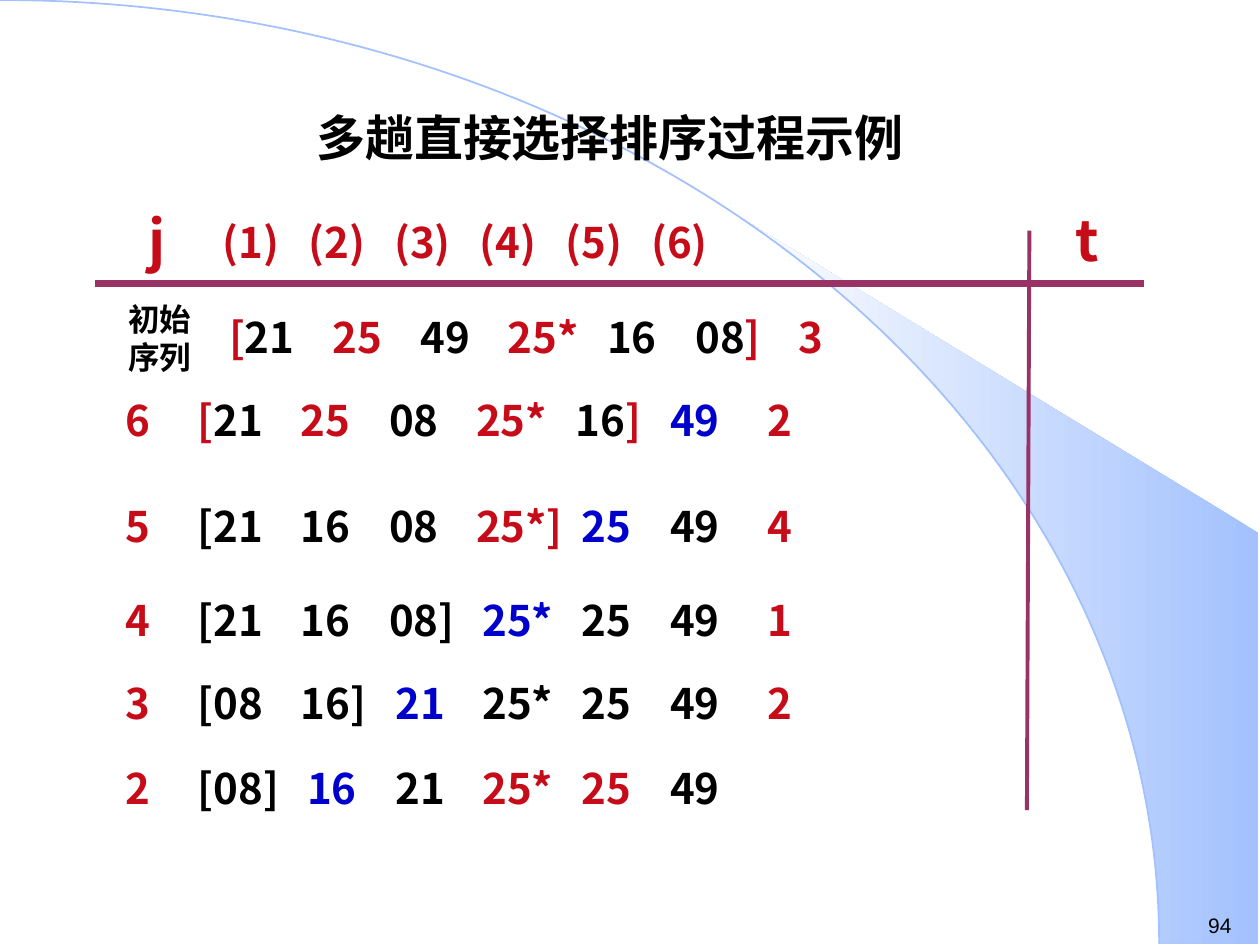
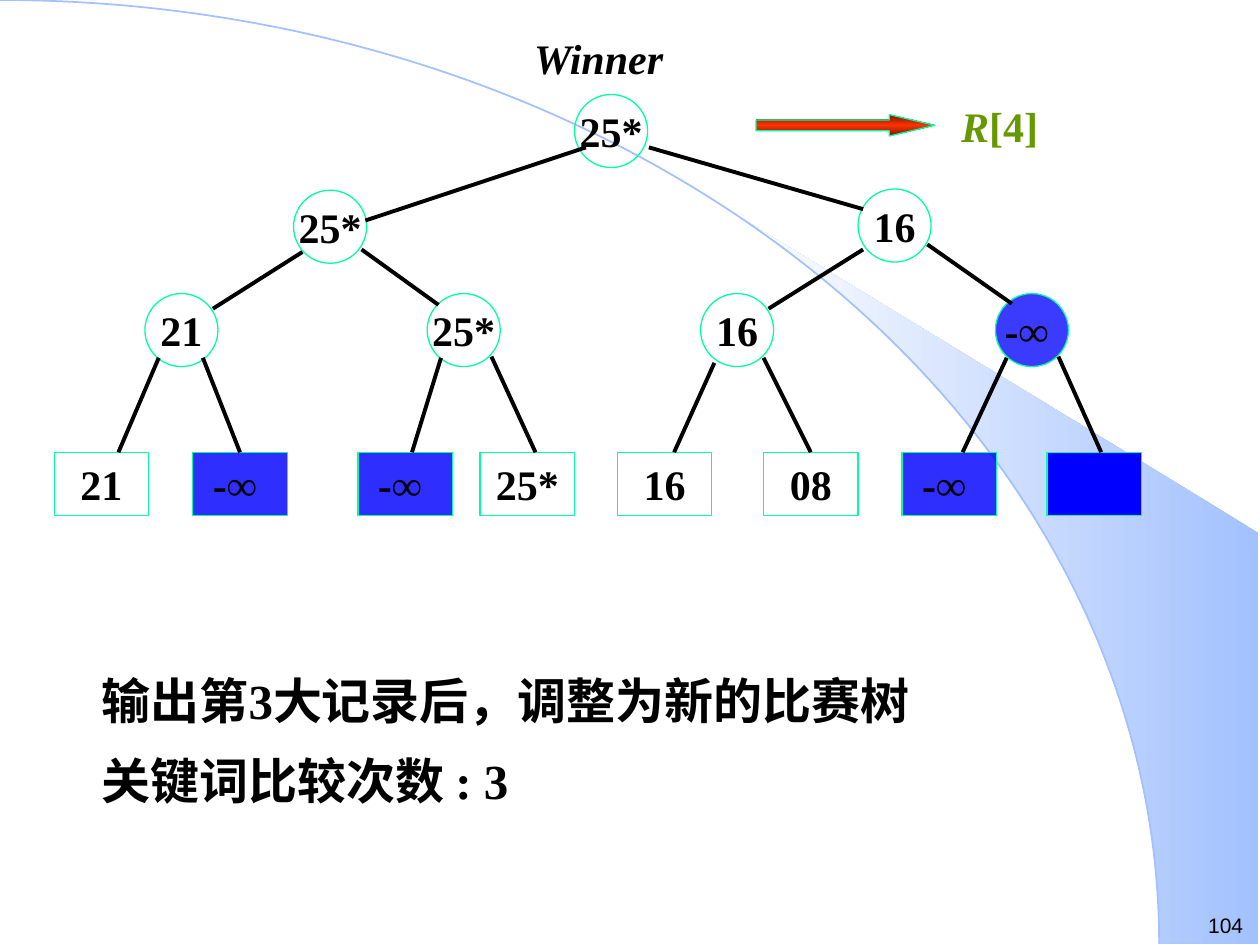
from dataclasses import dataclass
from math import asin, cos, pi, sin

from lxml import etree
from pptx import Presentation
from pptx.dml.color import RGBColor
from pptx.enum import shapes, text
from pptx.oxml.ns import qn
from pptx.util import Inches, Pt

HUES = {
    "black": "000000", "red": "C60C19", "blue": "0000CC", "plum": "993366",
    "sky": "A2C1FE", "pale": "FEFEFE", "mint": "00FF9F", "fill": "0000FF",
    "green": "669900", "rust": "751700", "flame": "FF3300",
}
CODES = {"k": "black", "r": "red", "b": "blue"}
SERIF, SANS = "Times New Roman", "Noto Sans CJK SC"
KIND = shapes.MSO_SHAPE
ALIGN = text.PP_ALIGN
CURVE_W, CURVE_H = 9.2, 7.49


@dataclass
class Run:
    text: str
    hue: str = "black"
    italic: bool = False


@dataclass
class Row:
    """One pass: cells split by spaces, runs by bars, each led by a colour code."""
    top: float
    cells: str
    label: str = ""
    shift: float = 0


@dataclass
class Node:
    text: str
    left: float
    top: float
    alpha: int = 0


@dataclass
class Edge:
    x1: float
    y1: float
    x2: float
    y2: float
    leaf: int = -1


def rgb(hue: str) -> RGBColor:
    return RGBColor.from_string(HUES[hue])


def write(frame, lines, *, size=24, font=SERIF, hue="black", bold=True,
          italic=False, align=ALIGN.LEFT, space=None, tabs=(), wrap=True):
    """Fill a text frame; each line is a string or a list of runs."""
    frame.word_wrap = wrap
    for n, line in enumerate(lines):
        para = frame.paragraphs[0] if n == 0 else frame.add_paragraph()
        para.alignment = align
        para.space_before = Pt(0)
        if space:
            para.line_spacing = space
        if tabs:
            stops = etree.SubElement(para._p.get_or_add_pPr(), qn("a:tabLst"))
            for tab in tabs:
                etree.SubElement(stops, qn("a:tab"), pos=str(Inches(tab)), algn="l")
        for part in [Run(line, hue, italic)] if isinstance(line, str) else line:
            run = para.add_run()
            run.text = part.text
            run.font.size, run.font.name = Pt(size), font
            run.font.bold, run.font.italic = bold, part.italic
            run.font.color.rgb = rgb(part.hue)
            latin = run.font._element.find(qn("a:latin"))
            latin.addnext(etree.Element(qn("a:ea"), typeface=SANS))


def put(slide, lines, left, top, width, height, **form):
    box = slide.shapes.add_textbox(*map(Inches, (left, top, width, height)))
    write(box.text_frame, lines, **form)


def shade(shape, angle: int, *hues: str) -> None:
    """Give a shape a linear gradient with evenly spaced stops."""
    shape.fill.gradient()
    shape.fill.gradient_angle = angle
    stops = shape.element.spPr.find(qn("a:gradFill")).find(qn("a:gsLst"))
    for old in list(stops):
        stops.remove(old)
    for n, hue in enumerate(hues):
        pos = str(100000 * n // (len(hues) - 1))
        stop = etree.SubElement(stops, qn("a:gs"), pos=pos)
        etree.SubElement(stop, qn("a:srgbClr"), val=HUES[hue])


def form(slide, kind, left, top, width, height, hue="mint", line=0.75):
    shape = slide.shapes.add_shape(kind, *map(Inches, (left, top, width, height)))
    shape.shadow.inherit = False
    shape.fill.background()
    shape.line.color.rgb = rgb(hue)
    shape.line.width = Pt(line)
    return shape


def link(slide, x1, y1, x2, y2, hue="black", width=2.25):
    line = slide.shapes.add_connector(
        shapes.MSO_CONNECTOR.STRAIGHT, *map(Inches, (x1, y1, x2, y2)))
    line.line.color.rgb = rgb(hue)
    line.line.width = Pt(width)
    etree.SubElement(line.element.spPr, qn("a:effectLst"))
    return line


def backdrop(slide, page: int) -> None:
    start = asin(5.89 / CURVE_W)
    turns = [start + (pi / 2 - start) * n / 24 for n in range(25)]
    rim = [(CURVE_W * sin(t), CURVE_H * (1 - cos(t))) for t in turns]
    rim += [(9.99, CURVE_H), (9.99, 4.23)]
    points = [(Inches(x), Inches(y)) for x, y in rim]
    build = slide.shapes.build_freeform(*points[0])
    build.add_line_segments(points[1:])
    wedge = build.convert_to_shape()
    wedge.shadow.inherit = False
    wedge.line.fill.background()
    shade(wedge, 180, "sky", "pale")
    form(slide, KIND.ARC, -CURVE_W, 0, 2 * CURVE_W, 2 * CURVE_H, "sky", 1)
    put(slide, [str(page)], 9.49, 7.19, 0.51, 0.3, size=12, font="Arial", bold=False)


COLS = [1.57, 2.39, 3.09, 3.78, 4.57, 5.27, 6.04]
LABEL_X, SORTED_GAP, INSET = 1.0, 0.05, 0.1
ROWS = [
    Row(2.42, "r[|k21 r25 k49 r25* k16 k08|r] r3", shift=0.25),
    Row(3.08, "r[|k21 r25 k08 r25* k16|r] b49 r2", "6"),
    Row(3.92, "k[21 k16 k08 r25*] b25 k49 r4", "5"),
    Row(4.67, "k[21 k16 k08] b25* k25 k49 r1", "4"),
    Row(5.33, "k[08 k16] b21 k25* k25 k49 r2", "3"),
    Row(6, "k[08] b16 k21 r25* r25 k49", "2"),
]


def draw_row(slide, row: Row) -> None:
    cells = row.cells.split()
    close = next(n for n, cell in enumerate(cells) if cell.endswith("]"))
    spots = [COLS[n] + row.shift + SORTED_GAP * (n > close) for n in range(len(cells))]
    if row.label:
        cells.insert(0, "r" + row.label)
        spots.insert(0, LABEL_X)
    runs = []
    for n, cell in enumerate(cells):
        for m, part in enumerate(cell.split("|")):
            lead = "\t" if n and not m else ""
            runs.append(Run(lead + part[1:], CODES[part[0]]))
    put(slide, [runs], spots[0] - INSET, row.top, 7, 0.5, font=SANS,
        tabs=[x - spots[0] for x in spots[1:]])


def sort_slide(deck) -> None:
    slide = deck.slides.add_slide(deck.slide_layouts[5])
    backdrop(slide, 94)
    title = slide.shapes.title
    slide.shapes.element.append(title.element)
    title.left, title.top, title.width, title.height = map(Inches, (0.51, 0.76, 8.66, 0.84))
    title.text_frame.vertical_anchor = text.MSO_ANCHOR.TOP
    title.text_frame.auto_size = text.MSO_AUTO_SIZE.NONE
    write(title.text_frame, ["多趟直接选择排序过程示例"], size=28,
          align=ALIGN.CENTER, space=1.1)
    put(slide, ["\t".join(f"({n})" for n in range(1, 7))], 1.67, 1.67, 6.5, 0.5,
        font=SANS, hue="red", tabs=[0.68 * n for n in range(1, 6)])
    for name, left in (("j", 1.08), ("t", 8.44)):
        put(slide, [name], left, 1.58, 0.5, 0.64, size=32, font=SANS, hue="red")
    link(slide, 0.75, 2.25, 9.08, 2.25, "plum", 4.5)
    link(slide, 8.17, 1.83, 8.15, 6.43, "plum")
    put(slide, ["初始序列"], 0.92, 2.33, 0.83, 0.7, size=18, font=SANS)
    for row in ROWS:
        draw_row(slide, row)


BALL, LEAF_W, LEAF_H, LEAF_Y = 0.58, 0.75, 0.5, 3.59
BALLS = [
    Node("25*", 4.56, 0.75), Node("25*", 2.33, 1.51), Node("16", 6.81, 1.5),
    Node("21", 1.15, 2.33), Node("25*", 3.39, 2.33), Node("16", 5.56, 2.33),
    Node("-∞ ", 7.9, 2.33, 77),
]
LEAVES = [
    Node("21", 0.43, LEAF_Y), Node("-∞ ", 1.53, LEAF_Y, 82),
    Node("-∞ ", 2.84, LEAF_Y, 82), Node("25*", 3.81, LEAF_Y),
    Node("16", 4.9, LEAF_Y), Node("08", 6.06, LEAF_Y),
    Node("-∞ ", 7.16, LEAF_Y, 82), Node("", 8.31, LEAF_Y, 100),
]
EDGES = [
    Edge(5.15, 1.17, 6.85, 1.66), Edge(4.65, 1.17, 2.9, 1.75),
    Edge(6.85, 1.98, 6.1, 2.45), Edge(2.87, 1.98, 3.48, 2.42),
    Edge(7.36, 1.94, 8.03, 2.41), Edge(2.4, 2, 1.69, 2.45),
    Edge(1.26, 2.84, 0.94, LEAF_Y), Edge(1.61, 2.84, 1.93, LEAF_Y, 1),
    Edge(3.5, 2.84, 3.27, LEAF_Y), Edge(3.9, 2.83, 4.25, LEAF_Y),
    Edge(5.67, 2.88, 5.35, LEAF_Y), Edge(6.06, 2.84, 6.42, LEAF_Y, 5),
    Edge(7.99, 2.84, 7.64, LEAF_Y), Edge(8.4, 2.83, 8.74, LEAF_Y),
]


def draw_node(slide, node: Node, kind, width: float, height: float):
    shape = form(slide, kind, node.left, node.top, width, height)
    if node.alpha:
        shape.fill.solid()
        shape.fill.fore_color.rgb = rgb("fill")
        tint = shape.element.spPr.find(qn("a:solidFill"))[0]
        etree.SubElement(tint, qn("a:alpha"), val=str(node.alpha * 1000))
    if node.text:
        shape.text_frame.vertical_anchor = text.MSO_ANCHOR.MIDDLE
        write(shape.text_frame, [node.text], align=ALIGN.CENTER, wrap=False)
    return shape


def tree_slide(deck) -> None:
    slide = deck.slides.add_slide(deck.slide_layouts[6])
    backdrop(slide, 104)
    for ball in BALLS:
        draw_node(slide, ball, KIND.OVAL, BALL, BALL)
    leaves = [draw_node(slide, leaf, KIND.RECTANGLE, LEAF_W, LEAF_H) for leaf in LEAVES]
    for edge in EDGES:
        line = link(slide, edge.x1, edge.y1, edge.x2, edge.y2)
        if edge.leaf >= 0:
            line.end_connect(leaves[edge.leaf], 0)
    put(slide, ["Winner"], 4.14, 0.21, 1.32, 0.5, italic=True, wrap=False)
    arrow = form(slide, KIND.RIGHT_ARROW, 6, 0.91, 1.42, 0.17)
    arrow.adjustments[1] = 2.13
    shade(arrow, 90, "rust", "flame", "rust")
    put(slide, [[Run("R", "green", True), Run("[4]", "green")]],
        7.53, 0.75, 0.81, 0.5, wrap=False)
    put(slide, ["输出第3大记录后，调整为新的比赛树", "关键词比较次数 : 3"],
        0.71, 5.11, 8.98, 1.48, size=28, align=ALIGN.JUSTIFY, space=1.35)


def main() -> None:
    deck = Presentation()
    deck.slide_width, deck.slide_height = Inches(10), Inches(7.5)
    sort_slide(deck)
    tree_slide(deck)
    deck.save("out.pptx")


if __name__ == "__main__":
    main()
